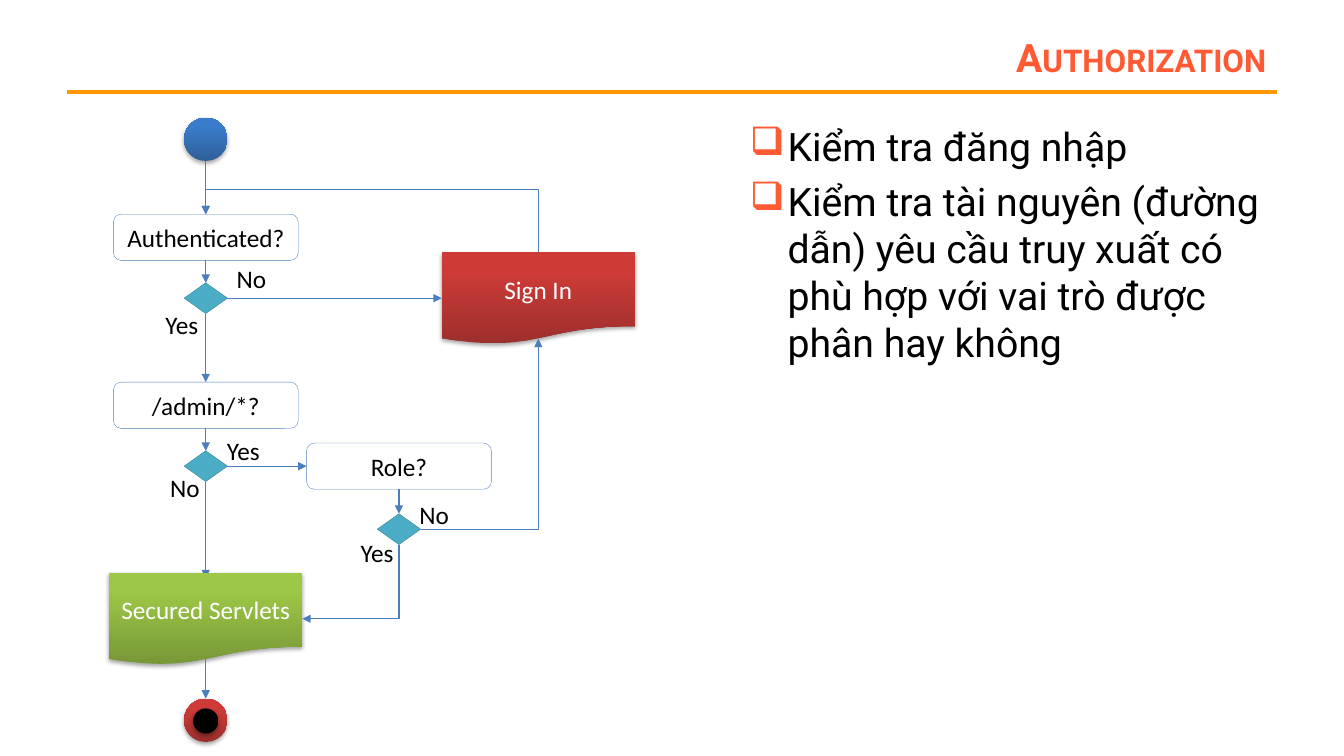
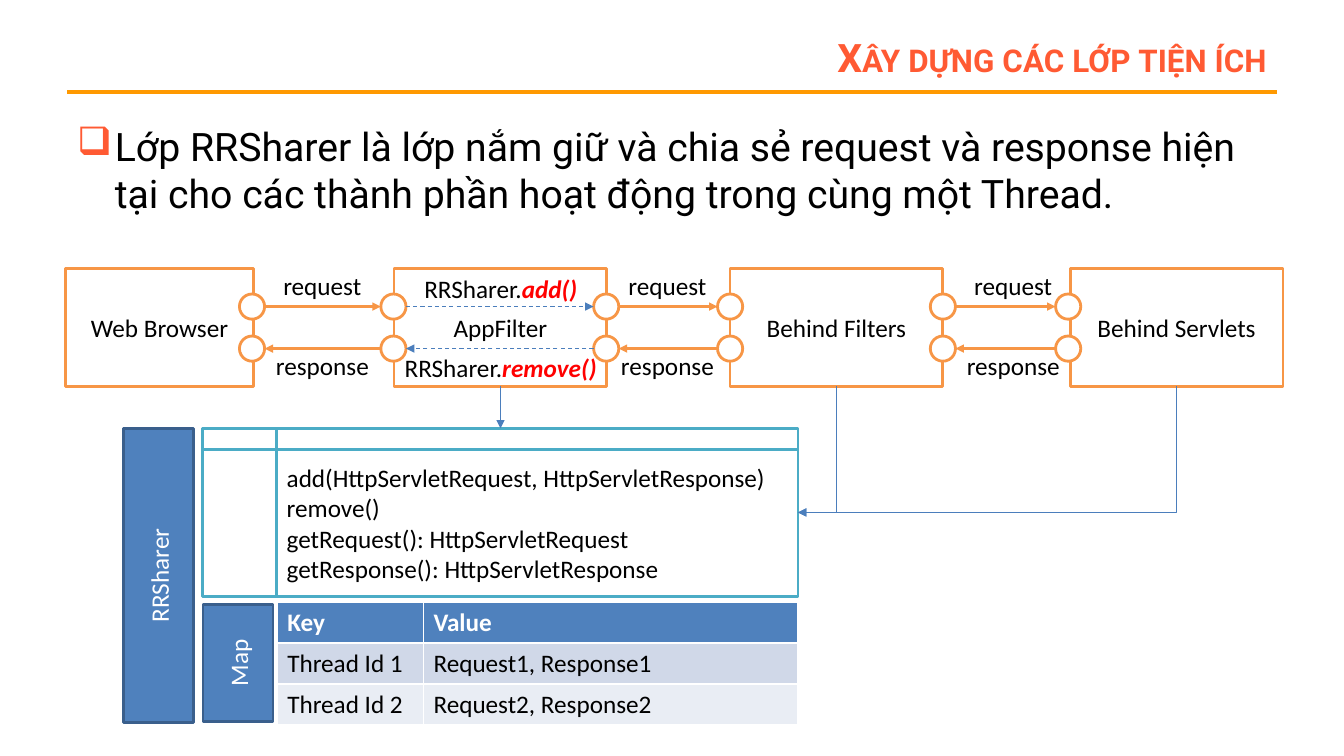
from lxml.etree import SubElement
from pptx import Presentation
from pptx.dml.color import RGBColor
from pptx.enum.dml import MSO_LINE
from pptx.enum.shapes import MSO_CONNECTOR, MSO_SHAPE as Kind
from pptx.enum.text import MSO_ANCHOR as Anchor, MSO_AUTO_SIZE as Fit, PP_ALIGN as Align
from pptx.oxml.ns import qn
from pptx.util import Pt

BLACK = RGBColor(0x00, 0x00, 0x00)
WHITE = RGBColor(0xFF, 0xFF, 0xFF)
RED = RGBColor(0xFF, 0x00, 0x00)
CORAL = RGBColor(0xFF, 0x5A, 0x33)
AMBER = RGBColor(0xFF, 0x99, 0x00)
ORANGE = RGBColor(0xF7, 0x96, 0x46)
BLUE = RGBColor(0x4F, 0x81, 0xBD)
NAVY = RGBColor(0x3A, 0x5F, 0x8C)
EDGE = RGBColor(0x4B, 0x7E, 0xBC)
TEAL = RGBColor(0x4B, 0xAC, 0xC6)
DEEP = RGBColor(0x37, 0x7F, 0x92)
BAND = RGBColor(0xD0, 0xD8, 0xE8)
PALE = RGBColor(0xE9, 0xED, 0xF4)
REDS = RGBColor(0x9C, 0x2F, 0x2D), RGBColor(0xCE, 0x3B, 0x37)
GREENS = RGBColor(0x77, 0x97, 0x37), RGBColor(0x9D, 0xC7, 0x46)
BLUES = RGBColor(0x2F, 0x5F, 0x99), RGBColor(0x3A, 0x7C, 0xCB)
BLACKS = BLACK, BLACK


def write(box, text="", size=18, font="Calibri", ink=BLACK, bold=False, align=Align.LEFT,
          tail="", fill=None, line=None, width=0.25, fit=None, wrap=None, bullet=False):
    frame = box.text_frame
    if fill is not None:
        box.fill.solid()
        box.fill.fore_color.rgb = fill
    if line is not None:
        box.line.color.rgb = line
        box.line.width = Pt(width)
        box.shadow.inherit = False
    if fit is not None:
        frame.auto_size = fit
    if wrap is not None:
        frame.word_wrap = wrap
    if text:
        frame.text = text
        for para in frame.paragraphs:
            para.alignment = align
            for run in para.runs:
                run.font.size, run.font.name = Pt(size), font
                run.font.color.rgb, run.font.bold = ink, bold
    if tail:
        run = frame.paragraphs[0].add_run()
        run.text = tail
        run.font.size, run.font.name = Pt(size), font
        run.font.color.rgb = RED
        run.font.bold = run.font.italic = True
    if bullet:
        for para in frame.paragraphs:
            para.space_before = Pt(size * 0.2)
        for prop in box.element.iter(qn("a:pPr")):
            prop.set("marL", str(Pt(27)))
            prop.set("indent", str(Pt(-27)))
            tint = SubElement(prop, qn("a:buClr"))
            SubElement(tint, qn("a:srgbClr"), val=str(CORAL))
            SubElement(prop, qn("a:buChar"), char="❑")
    return box


def link(page, start, end, ink=EDGE, width=0.75, dash=False, arrow=True, turn=None, adj=None):
    wire = page.shapes.add_connector(MSO_CONNECTOR.STRAIGHT, 0, 0, 0, 0)
    if hasattr(start[0], "shape_id"):
        wire.begin_connect(*start)
    else:
        wire.begin_x, wire.begin_y = map(Pt, start)
    if hasattr(end[0], "shape_id"):
        wire.end_connect(*end)
    else:
        wire.end_x, wire.end_y = map(Pt, end)
    wire.line.color.rgb = ink
    wire.line.width = Pt(width)
    if dash:
        wire.line.dash_style = MSO_LINE.DASH
    prop = wire.element.spPr
    if arrow:
        SubElement(prop.find(qn("a:ln")), qn("a:tailEnd"), type="triangle")
    SubElement(prop, qn("a:effectLst"))
    if turn is not None:
        geom = prop.find(qn("a:prstGeom"))
        geom.set("prst", "bentConnector3" if adj else "bentConnector2")
        if adj:
            SubElement(geom.find(qn("a:avLst")), qn("a:gd"), name="adj1", fmla=f"val {adj}")
    if turn:
        x, y, w, h = wire.left, wire.top, wire.width, wire.height
        wire.left, wire.top = x + (w - h) // 2, y + (h - w) // 2
        wire.width, wire.height = h, w
        form = prop.find(qn("a:xfrm"))
        form.attrib.pop("flipH", None)
        form.set("rot", str(turn * 60000))
    return wire


deck = Presentation()
deck.slide_width, deck.slide_height = Pt(960), Pt(540)
plan = deck.slide_layouts[5]

pages = []
for title, text, area in (
    ("Authorization",
     "Kiểm tra đăng nhập\nKiểm tra tài nguyên (đường dẫn) yêu cầu truy xuất có "
     "phù hợp với vai trò được phân hay không", (528.5, 84, 383, 414)),
    ("Xây dựng các lớp tiện ích",
     "Lớp RRSharer là lớp nắm giữ và chia sẻ request và response hiện tại cho các "
     "thành phần hoạt động trong cùng một Thread.", (48, 84, 864, 90)),
):
    page = deck.slides.add_slide(plan)
    head = page.shapes.title
    head.left, head.top, head.width, head.height = map(Pt, (176, 21.5, 736, 38))
    write(head, title, size=28, font="Roboto", ink=CORAL, bold=True, align=Align.RIGHT, fit=Fit.NONE)
    head.text_frame.vertical_anchor = Anchor.MIDDLE
    for prop in head.element.iter(qn("a:rPr")):
        prop.set("cap", "small")
    write(page.shapes.add_textbox(*map(Pt, area)), text, size=28, font="Roboto",
          wrap=True, bullet=True)
    pages.append(page)
one, two = pages

rule = link(one, (48, 66), (912, 66), ink=AMBER, width=3, arrow=False)
plan.shapes.element.append(rule.element)

steps = []
for text, x, y, drop in (
    ("Authenticated?", 147, 153, 49),
    ("/admin/*?", 147, 273, 49),
    ("Role?", 285, 316.5, 50.5),
):
    step = one.shapes.add_shape(Kind.ROUNDED_RECTANGLE, *map(Pt, (x - 66, y, 132, 33)))
    write(step, text, align=Align.CENTER, fill=WHITE, line=BLUE)
    gate = one.shapes.add_shape(Kind.DIAMOND, *map(Pt, (x - 15.5, y + drop, 31, 22)))
    write(gate, fill=TEAL, line=DEEP)
    link(one, (step, 2), (gate, 0))
    steps.append((step, gate))
(auth, known), (admin, guard), (role, grant) = steps

link(one, (known, 2), (admin, 0))
link(one, (guard, 3), (role, 1))
link(one, (guard, 2), (147, 413))

nodes = []
for kind, area, shades, text in (
    (Kind.FLOWCHART_DOCUMENT, (78, 409, 138, 66), GREENS, "Secured Servlets"),
    (Kind.FLOWCHART_DOCUMENT, (315.5, 180, 138, 66), REDS, "Sign In"),
    (Kind.OVAL, (131.5, 84, 31, 31), BLUES, ""),
    (Kind.OVAL, (131.5, 499, 31, 31), REDS, ""),
    (Kind.OVAL, (138, 506, 18, 18), BLACKS, ""),
):
    node = one.shapes.add_shape(kind, *map(Pt, area))
    write(node, text, ink=WHITE, align=Align.CENTER)
    node.fill.gradient()
    node.fill.gradient_angle = 90
    for stop, shade, place in zip(node.fill.gradient_stops, shades, (0, 0.8)):
        stop.color.rgb, stop.position = shade, place
    node.line.fill.background()
    node.shadow.inherit = False
    glow = SubElement(node.element.spPr.find(qn("a:effectLst")), qn("a:outerShdw"),
                      blurRad=str(Pt(3.1)), dist=str(Pt(1.8)), dir="5400000", rotWithShape="0")
    tint = SubElement(glow, qn("a:srgbClr"), val=str(BLACK))
    SubElement(tint, qn("a:alpha"), val="35000")
    nodes.append(node)
safe, sign, first, last, core = nodes

link(one, (147, 115), (auth, 0))
link(one, (known, 3), (sign, 1))
link(one, (147, 471), (last, 0))
link(one, (sign, 0), (auth, 0), turn=270, adj=165700)
link(one, (grant, 2), (safe, 3), turn=90)
back = link(one, (grant, 3), (sign, 2), turn=0)
back.end_y = Pt(242)

for text, x, y in (
    ("Yes", 111, 217.5), ("No", 162, 184.5), ("No", 114.5, 333.5),
    ("Yes", 155, 307.5), ("Yes", 250.5, 380), ("No", 292.5, 353),
):
    label = one.shapes.add_textbox(*map(Pt, (x, y, 38 if text == "Yes" else 36, 29)))
    write(label, text, wrap=False, fit=Fit.SHAPE_TO_FIT_TEXT)

parts = []
for text, x, w in (
    ("Web Browser", 47, 134), ("AppFilter", 281.5, 152),
    ("Behind Filters", 521.5, 152), ("Behind Servlets", 764.5, 152),
):
    part = two.shapes.add_shape(Kind.RECTANGLE, *map(Pt, (x, 192, w, 84)))
    write(part, text, align=Align.CENTER, fill=WHITE, line=ORANGE, width=2)
    parts.append(part)
web, app, rear, serve = parts

for x in (171, 272, 424, 512.5, 664.5, 754):
    for y in (210, 240):
        port = two.shapes.add_shape(Kind.FLOWCHART_CONNECTOR, *map(Pt, (x, y, 18, 18)))
        write(port, fill=WHITE, line=ORANGE, width=2)

for left, right, mid in ((189, 272, 230.5), (442, 512.5, 477), (682.5, 754, 724)):
    link(two, (left, 219), (right, 219), ink=ORANGE, width=2)
    link(two, (right, 249), (left, 249), ink=ORANGE, width=2)
    for text, y, w in (("request", 189.5, 70.5), ("response", 247, 81)):
        label = two.shapes.add_textbox(*map(Pt, (mid - w / 2, y, w, 29)))
        write(label, text, wrap=False, fit=Fit.SHAPE_TO_FIT_TEXT)

link(two, (290, 219), (424, 219), dash=True)
link(two, (424, 249), (290, 249), dash=True)
for tail, x, y, w in (("add()", 296, 192, 124), ("remove()", 282, 248, 152)):
    label = two.shapes.add_textbox(*map(Pt, (x, y, w, 29)))
    write(label, "RRSharer.", tail=tail, wrap=False, fit=Fit.SHAPE_TO_FIT_TEXT)

store = two.shapes.add_shape(Kind.FLOWCHART_INTERNAL_STORAGE, *map(Pt, (144.5, 306, 425.5, 120)))
write(store, "add(HttpServletRequest, HttpServletResponse)\nremove()\n"
      "getRequest(): HttpServletRequest\ngetResponse(): HttpServletResponse",
      fill=WHITE, line=TEAL, width=2)
link(two, (app, 2), (357.5, 306))
for part in (rear, serve):
    link(two, (part, 2), (store, 3), turn=90)

for text, area in (("Map", (128, 448.5, 84, 50)), ("RRSharer", (8.5, 386, 210, 50))):
    tab = two.shapes.add_shape(Kind.RECTANGLE, *map(Pt, area))
    tab.rotation = 270
    write(tab, text, ink=WHITE, align=Align.CENTER, fill=BLUE, line=NAVY, width=2)

rows = (
    (("Key", "Value"), BLUE, WHITE),
    (("Thread Id 1", "Request1, Response1"), BAND, BLACK),
    (("Thread Id 2", "Request2, Response2"), PALE, BLACK),
)
grid = two.shapes.add_table(3, 2, *map(Pt, (198, 430, 372, 88))).table
for col, w in zip(grid.columns, (104.5, 267.5)):
    col.width = Pt(w)
for row, (texts, fill, ink) in zip(grid.rows, rows):
    for cell, text in zip(row.cells, texts):
        write(cell, text, ink=ink, bold=ink == WHITE, fill=fill)

deck.save("out.pptx")
